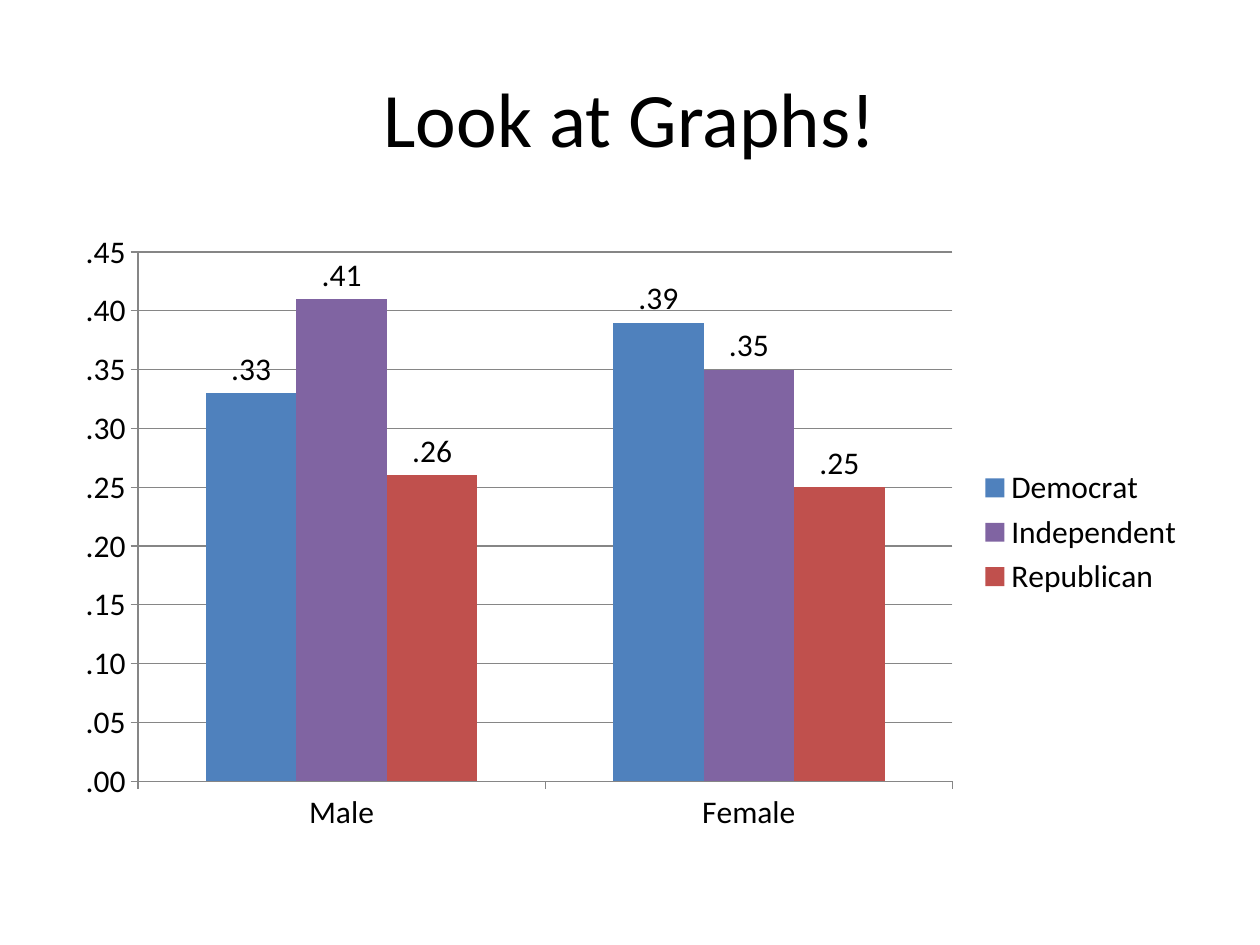
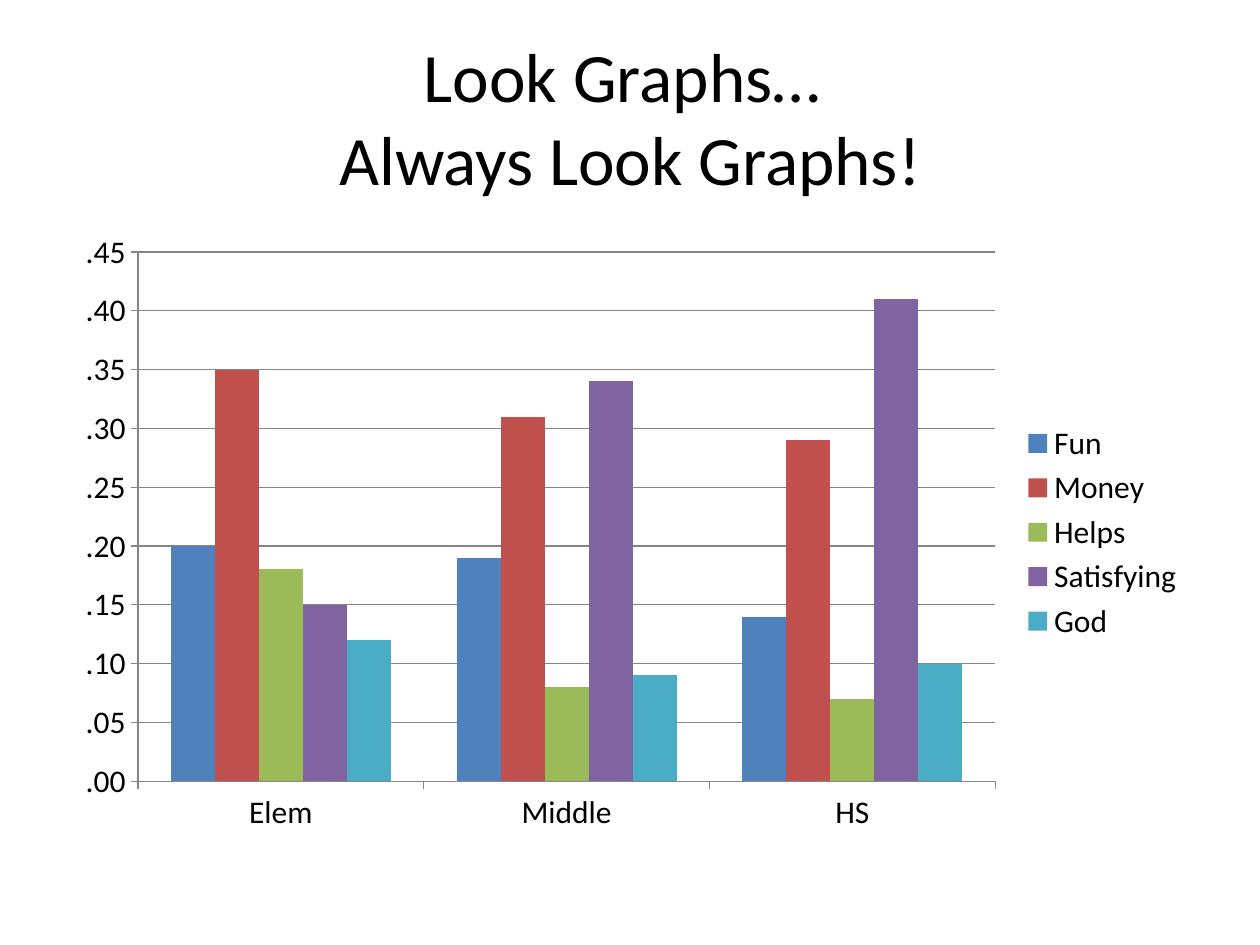
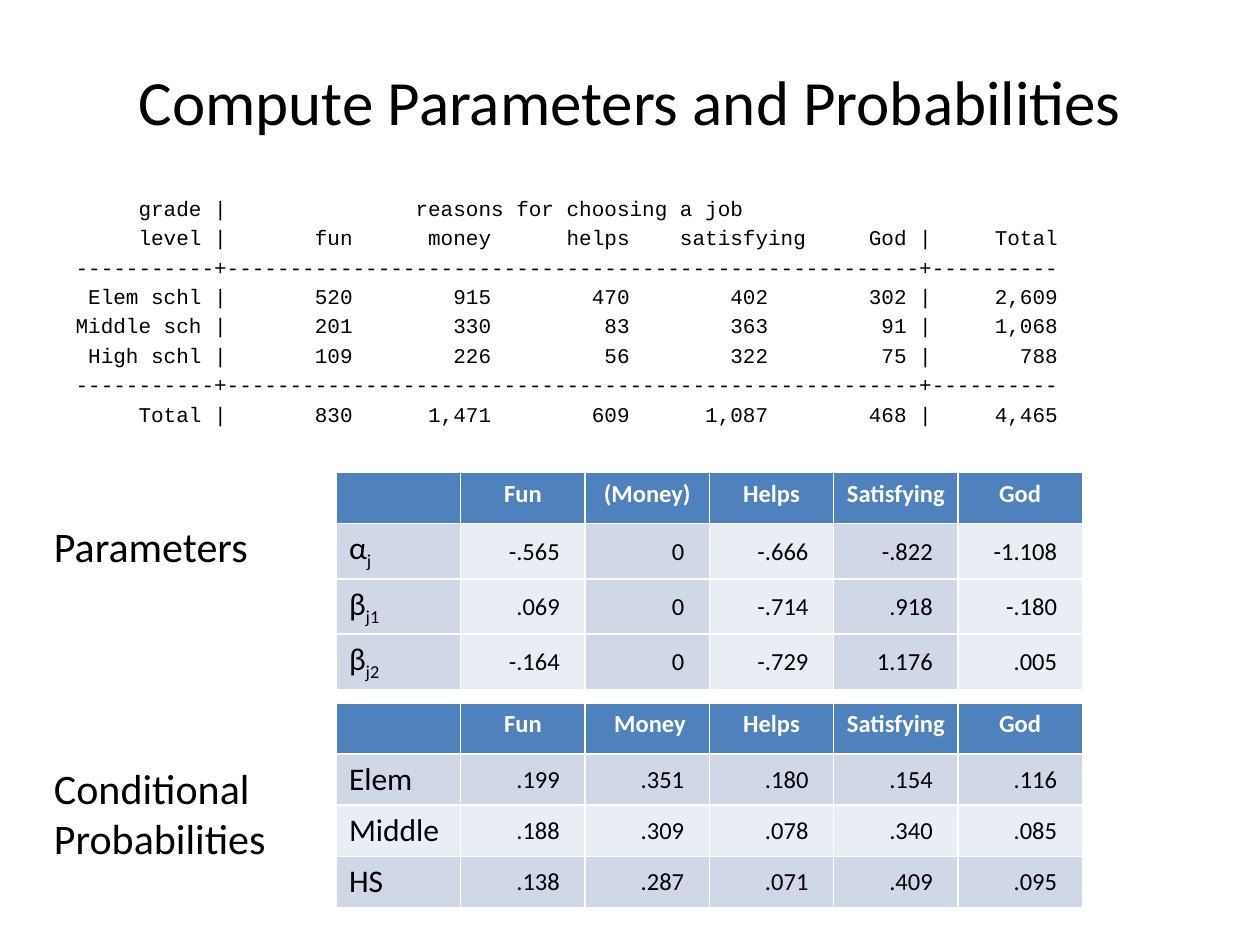
from pptx import Presentation
from pptx.chart.data import CategoryChartData
from pptx.dml.color import RGBColor
from pptx.enum.chart import (XL_CHART_TYPE, XL_LABEL_POSITION,
                             XL_LEGEND_POSITION, XL_TICK_MARK)
from pptx.enum.text import MSO_ANCHOR, MSO_AUTO_SIZE, PP_ALIGN
from pptx.util import Inches, Pt
from lxml import etree

# Shared look
SANS, MONO = "Calibri", "Courier New"
BLACK, WHITE, GRID = "000000", "FFFFFF", "868686"
BLUE, RED, GREEN, PURPLE, TEAL = "4F81BD", "C0504D", "9BBB59", "8064A2", "4BACC6"
BANDS = ("D0D8E8", "E9EDF4")
TITLE_BOX = (0.5, 0.3, 9, 1.25)
CHART_BOX = (0.5, 1.75, 9, 4.95)
TITLE_AND_BODY, TITLE_ONLY = 1, 5


def rgb(value):
    return RGBColor.from_string(value)


def paint(target, color):
    target.fill.solid()
    target.fill.fore_color.rgb = rgb(color)


def style(font, size, color=BLACK, name=SANS, bold=False):
    font.size, font.name, font.bold = Pt(size), name, bold
    font.color.rgb = rgb(color)


def place(shape, box):
    shape.left, shape.top, shape.width, shape.height = map(Inches, box)


def titled_slide(deck, layout, heading, size, box=TITLE_BOX):
    slide = deck.slides.add_slide(deck.slide_layouts[layout])
    title = slide.shapes.title
    place(title, box)
    frame = title.text_frame
    frame.text = heading
    frame.auto_size = MSO_AUTO_SIZE.NONE
    frame.vertical_anchor = MSO_ANCHOR.MIDDLE
    paragraph = frame.paragraphs[0]
    paragraph.alignment = PP_ALIGN.CENTER
    style(paragraph.font, size)
    return slide


def column_chart(slide, box, categories, groups, labelled=False):
    """groups: (name, color, values) for each series."""
    shares = CategoryChartData(number_format=".00")
    shares.categories = categories
    for name, _, values in groups:
        shares.add_series(name, values)
    chart = slide.shapes.add_chart(XL_CHART_TYPE.COLUMN_CLUSTERED,
                                   *map(Inches, box), shares).chart
    style(chart.font, 18)
    chart.has_title = False
    chart.has_legend = True
    chart.legend.position = XL_LEGEND_POSITION.RIGHT
    chart.legend.include_in_layout = False

    # Axes
    scale = chart.value_axis
    scale.minimum_scale, scale.maximum_scale, scale.major_unit = 0, 0.45, 0.05
    scale.tick_labels.number_format = ".00"
    scale.tick_labels.number_format_is_linked = False
    scale.has_major_gridlines = True
    for axis in (scale, chart.category_axis):
        axis.major_tick_mark = XL_TICK_MARK.OUTSIDE
        axis.format.line.color.rgb = rgb(GRID)
    scale.major_gridlines.format.line.color.rgb = rgb(GRID)

    # Columns
    plot = chart.plots[0]
    plot.gap_width, plot.overlap = 150, 0
    plot.vary_by_categories = False
    for series, (_, color, _) in zip(plot.series, groups):
        paint(series.format, color)
        if labelled:
            labels = series.data_labels
            labels.show_value = True
            labels.number_format = ".00"
            labels.number_format_is_linked = False
            labels.position = XL_LABEL_POSITION.OUTSIDE_END


def crosstab(slide, box, lines):
    listing = slide.placeholders[1]
    place(listing, box)
    frame = listing.text_frame
    frame.text = "\n".join(lines)
    frame.auto_size = MSO_AUTO_SIZE.NONE
    for paragraph in frame.paragraphs:
        style(paragraph.font, 12, name=MONO)
        properties = paragraph.font._element.getparent()
        properties.set("marL", str(Inches(0.38)))
        properties.set("indent", str(Inches(-0.38)))
        no_bullet = etree.Element(properties.tag.replace("pPr", "buNone"))
        properties.insert(0, no_bullet)


def fill_row_label(cell, label):
    """Text after an underscore is set as a subscript."""
    paragraph = cell.text_frame.paragraphs[0]
    style(paragraph.font, 18)
    base, _, subscript = label.partition("_")
    paragraph.add_run().text = base
    if subscript:
        lowered = paragraph.add_run()
        lowered.text = subscript
        lowered.font._element.set("baseline", "-25000")


def fill_number(cell, number):
    cell.text = number
    cell.vertical_anchor = MSO_ANCHOR.MIDDLE
    cell.margin_left = cell.margin_top = Inches(0.01)
    cell.margin_right, cell.margin_bottom = Inches(0.2), 0
    paragraph = cell.text_frame.paragraphs[0]
    paragraph.alignment = PP_ALIGN.RIGHT
    style(paragraph.font, 14)


def reason_table(slide, box, headings, rows, column_bands=False):
    table = slide.shapes.add_table(len(rows) + 1, len(headings) + 1,
                                   *map(Inches, box)).table
    table.horz_banding, table.vert_banding = not column_bands, column_bands

    # Header row
    for column, heading in enumerate(["", *headings]):
        cell = table.cell(0, column)
        paint(cell, BLUE)
        cell.text = heading
        paragraph = cell.text_frame.paragraphs[0]
        paragraph.alignment = PP_ALIGN.CENTER
        style(paragraph.font, 14, WHITE, bold=True)

    # Banded body
    for row, (label, numbers) in enumerate(rows):
        for column, entry in enumerate([label, *numbers.split()]):
            cell = table.cell(row + 1, column)
            paint(cell, BANDS[(column if column_bands else row) % 2])
            if column == 0:
                fill_row_label(cell, entry)
            else:
                fill_number(cell, entry)


def side_label(slide, box, words):
    frame = slide.shapes.add_textbox(*map(Inches, box)).text_frame
    frame.word_wrap = True
    frame.auto_size = MSO_AUTO_SIZE.SHAPE_TO_FIT_TEXT
    frame.text = words
    style(frame.paragraphs[0].font, 24)


def party_slide(deck):
    slide = titled_slide(deck, TITLE_ONLY, "Look at Graphs!", 44)
    column_chart(slide, CHART_BOX, ["Male", "Female"], [
        ("Democrat", BLUE, (0.33, 0.39)),
        ("Independent", PURPLE, (0.41, 0.35)),
        ("Republican", RED, (0.26, 0.25)),
    ], labelled=True)


def job_reason_slide(deck):
    slide = titled_slide(deck, TITLE_ONLY,
                         "Look Graphs… \vAlways Look Graphs!", 39.6)
    column_chart(slide, CHART_BOX, ["Elem", "Middle", "HS"], [
        ("Fun", BLUE, (0.20, 0.19, 0.14)),
        ("Money", RED, (0.35, 0.31, 0.29)),
        ("Helps", GREEN, (0.18, 0.08, 0.07)),
        ("Satisfying", PURPLE, (0.15, 0.34, 0.41)),
        ("God", TEAL, (0.12, 0.09, 0.10)),
    ])


def parameter_slide(deck):
    slide = titled_slide(deck, TITLE_AND_BODY,
                         "Compute Parameters and Probabilities", 36,
                         (0.5, 0.17, 9, 1.25))
    # Counts, aligned in a fixed-width font
    rule = "-" * 11 + "+" + "-" * 55 + "+" + "-" * 10
    crosstab(slide, (0.5, 1.5, 9, 2.17), [
        "     grade |               reasons for choosing a job",
        "     level |       fun      money      helps    satisfying     God |     Total",
        rule,
        " Elem schl |       520        915        470        402        302 |     2,609",
        "Middle sch |       201        330         83        363         91 |     1,068",
        " High schl |       109        226         56        322         75 |       788",
        rule,
        "     Total |       830      1,471        609      1,087        468 |     4,465",
    ])

    # Model results
    reason_table(slide, (2.67, 3.75, 5.92, 1.62),
                 ["Fun", "(Money)", "Helps", "Satisfying", "God"], [
                     ("α_j", "-.565 0 -.666 -.822 -1.108"),
                     ("β_j1", ".069 0 -.714 .918 -.180"),
                     ("β_j2", "-.164 0 -.729 1.176 .005"),
                 ], column_bands=True)
    reason_table(slide, (2.67, 5.58, 5.92, 1.62),
                 ["Fun", " Money", "Helps", "Satisfying", "God"], [
                     ("Elem", ".199 .351 .180 .154 .116"),
                     ("Middle", ".188 .309 .078 .340 .085"),
                     ("HS", ".138 .287 .071 .409 .095"),
                 ])
    side_label(slide, (0.33, 4.08, 2, 0.5), "Parameters")
    side_label(slide, (0.33, 6, 2, 0.91), "Conditional Probabilities")


deck = Presentation()
deck.slide_width, deck.slide_height = Inches(10), Inches(7.5)
party_slide(deck)
job_reason_slide(deck)
parameter_slide(deck)
deck.save("out.pptx")
